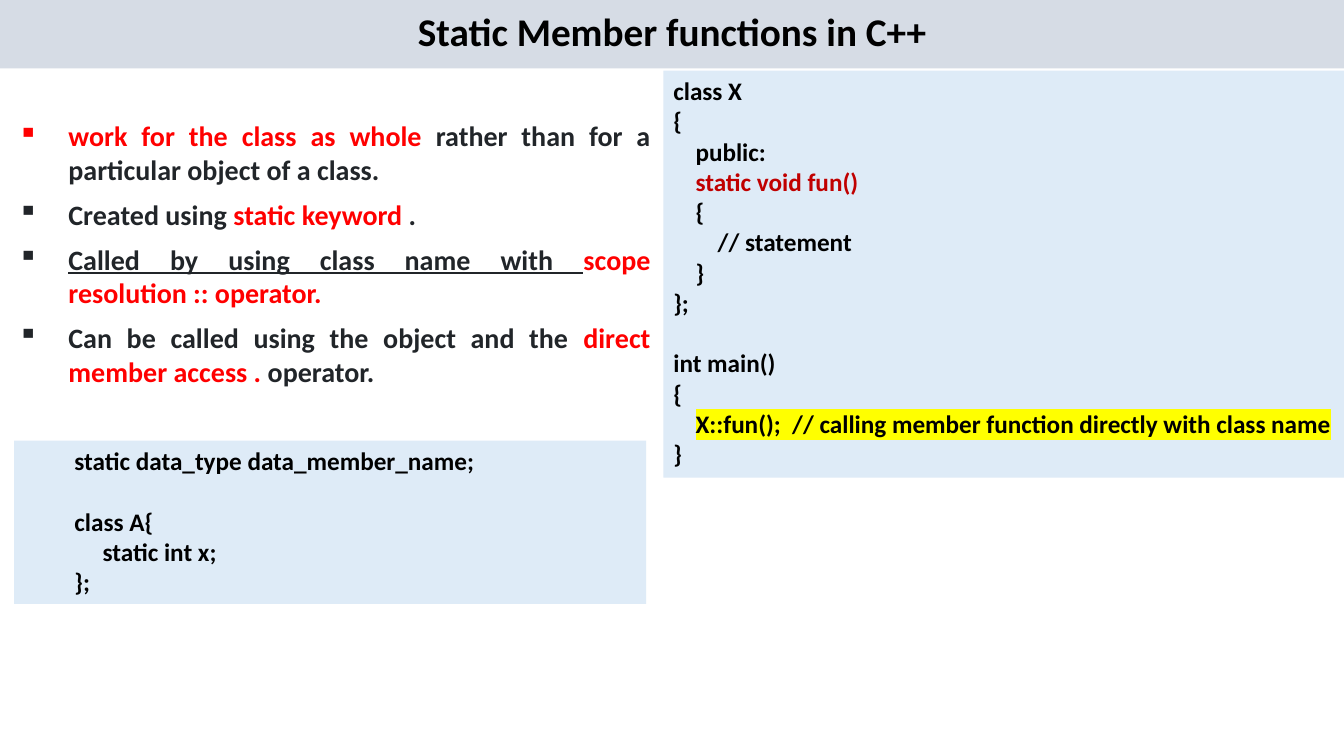
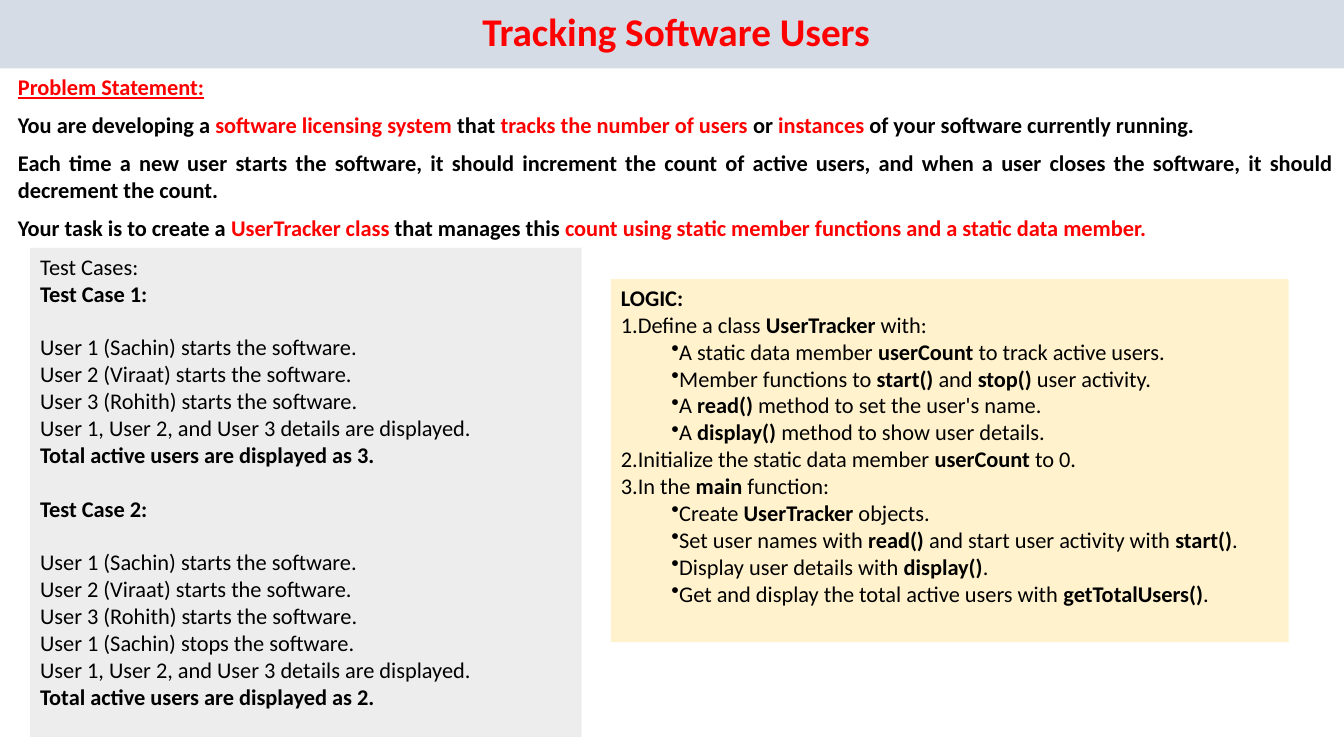
from dataclasses import dataclass, replace
from typing import Optional

from lxml import etree
from pptx import Presentation
from pptx.dml.color import RGBColor
from pptx.enum import shapes, text
from pptx.oxml import ns
from pptx.util import Inches, Pt


@dataclass(frozen=True)
class Look:
    """How a span of text appears."""
    size: int
    color: str = "000000"
    bold: bool = False
    underline: bool = False
    highlight: Optional[str] = None


@dataclass(frozen=True)
class Line:
    """A paragraph; parts between asterisks take the strong look."""
    words: str
    indent: float = 0
    hanging: float = 0
    gap: bool = False  # leave one empty line above
    bullet: Optional[str] = None
    number: Optional[int] = None
    plain: Optional[Look] = None
    strong: Optional[Look] = None


class Theme:
    font = "Calibri"
    band, code_fill, case_fill, logic_fill = "D6DCE5", "DEEBF7", "EDEDED", "FFF2CC"
    red = "FF0000"
    line_height = 1.2
    title = Look(28, bold=True)
    point = Look(20, "212529", bold=True)
    code = Look(18, bold=True)
    code_key = replace(code, color="C00000")
    code_call = replace(code, highlight="FFFF00")
    body = Look(16)
    strong_body = replace(body, bold=True)


def in_red(look, **changes):
    return replace(look, color=Theme.red, **changes)


class SlideBuilder:
    def __init__(self):
        self.deck = Presentation()
        self.deck.slide_width = Inches(13.33)
        self.deck.slide_height = Inches(7.5)
        self.page = None

    def start_page(self, title, look=Theme.title, indent=0):
        self.page = self.deck.slides.add_slide(self.deck.slide_layouts[6])
        box = self.panel((0, 0, 13.33, 0.68), Theme.band, [Line(title, indent)], look,
                         align=text.PP_ALIGN.CENTER)
        box.text_frame.vertical_anchor = text.MSO_ANCHOR.MIDDLE
        box.text_frame.paragraphs[0].line_spacing = 0.9

    def panel(self, at, fill, lines, plain, strong=None, align=text.PP_ALIGN.LEFT):
        box = self.page.shapes.add_shape(shapes.MSO_SHAPE.RECTANGLE, *map(Inches, at))
        box.shadow.inherit = False
        box.fill.solid()
        box.fill.fore_color.rgb = RGBColor.from_string(fill)
        box.line.fill.background()
        self.set_lines(box, lines, plain, strong, align)
        return box

    def prose(self, at, lines, plain, strong):
        box = self.page.shapes.add_textbox(*map(Inches, at))
        self.set_lines(box, lines, plain, strong, text.PP_ALIGN.JUSTIFY, after=8)

    def set_lines(self, box, lines, plain, strong, align, after=0):
        frame = box.text_frame
        frame.word_wrap = True
        frame.vertical_anchor = text.MSO_ANCHOR.TOP
        for index, line in enumerate(lines):
            para = frame.add_paragraph() if index else frame.paragraphs[0]
            para.alignment = align
            para.space_after = Pt(after)
            if line.gap:
                para.space_before = Pt(plain.size * Theme.line_height)
            self.indent(para, line)
            looks = (line.plain or plain, line.strong or strong)
            for order, part in enumerate(line.words.split("*")):
                if part:
                    self.span(para, part, looks[order % 2])

    def indent(self, para, line):
        props = para._p.get_or_add_pPr()
        props.set("marL", str(Inches(line.indent)))
        props.set("indent", str(Inches(-line.hanging)))
        if line.bullet:
            mark = etree.SubElement(props, ns.qn("a:buChar"))
            mark.set("char", line.bullet)
        elif line.number:
            mark = etree.SubElement(props, ns.qn("a:buAutoNum"))
            mark.set("type", "arabicPeriod")
            mark.set("startAt", str(line.number))

    def span(self, para, words, look):
        span = para.add_run()
        span.text = words
        font = span.font
        font.name = Theme.font
        font.size = Pt(look.size)
        font.bold = look.bold
        font.underline = look.underline
        font.color.rgb = RGBColor.from_string(look.color)
        if look.highlight:
            marker = etree.Element(ns.qn("a:highlight"))
            etree.SubElement(marker, ns.qn("a:srgbClr")).set("val", look.highlight)
            span._r.rPr.find(ns.qn("a:solidFill")).addnext(marker)


def point(words, **options):
    return Line(words, indent=0.58, hanging=0.5, bullet="▪", **options)


def step(words):
    return Line(words, indent=0.5, bullet="•")


def member_functions(builder):
    builder.start_page("Static Member functions in C++")

    # Key points
    points = [
        point("*work for the class as whole *rather than for a particular object of a class."),
        point("Created using *static keyword *."),
        point("Called by using class name with *scope resolution :: operator.",
              plain=replace(Theme.point, underline=True)),
        point("Can be called using the object and the *direct member access .* operator."),
    ]
    builder.prose((0, 1.13, 6.55, 3.24), points, Theme.point, in_red(Theme.point))

    # Class and call example
    tab = 0.22
    example = [
        Line("class X"),
        Line("{"),
        Line("public:", tab),
        Line("*static void fun()", tab),
        Line("{", tab),
        Line("// statement", 2 * tab),
        Line("}", tab),
        Line("};"),
        Line("int main()", gap=True),
        Line("{"),
        Line("*X::fun();  // calling member function directly with class name", tab,
             strong=Theme.code_call),
        Line("}"),
    ]
    builder.panel((6.58, 0.7, 6.75, 4.04), Theme.code_fill, example,
                  Theme.code, Theme.code_key)

    # Data member syntax
    syntax = [
        Line("static data_type data_member_name;", 0.5),
        Line("class A{", 0.5, gap=True),
        Line("static int x;", 0.78),
        Line("};", 0.5),
    ]
    builder.panel((0.14, 4.37, 6.27, 1.62), Theme.code_fill, syntax, Theme.code)


def test_case(number, stops, total):
    starts = [f"User {place} ({name}) starts the software."
              for place, name in enumerate(("Sachin", "Viraat", "Rohith"), 1)]
    return [
        Line(f"*Test Case {number}:", gap=number > 1),
        Line(starts[0], gap=True),
        *map(Line, starts[1:] + stops),
        Line("User 1, User 2, and User 3 details are displayed."),
        Line(f"*Total active users are displayed as {total}."),
    ]


def tracking_users(builder):
    builder.start_page("Tracking Software Users", in_red(Theme.title), indent=0.08)

    # Problem statement
    problem = [
        Line("Problem Statement:", 0.08, plain=in_red(Theme.strong_body, underline=True)),
        Line("You are developing a *software licensing system *that *tracks the number of "
             "users *or *instances *of your software currently running.", 0.08),
        Line("Each time a new user starts the software, it should increment the count of "
             "active users, and when a user closes the software, it should decrement "
             "the count.", 0.08),
        Line("Your task is to create a *UserTracker class *that manages this *count using "
             "static member functions and a static data member.", 0.08),
    ]
    builder.prose((0, 0.68, 13.33, 1.78), problem, Theme.strong_body,
                  in_red(Theme.strong_body))

    # Test cases
    cases = [
        Line("Test Cases:"),
        *test_case(1, [], 3),
        *test_case(2, ["User 1 (Sachin) stops the software."], 2),
    ]
    builder.panel((0.3, 2.46, 5.47, 4.85), Theme.case_fill, cases,
                  Theme.body, Theme.strong_body)

    # Logic
    logic = [
        Line("*LOGIC:"),
        Line("Define a class *UserTracker* with:", number=1),
        step("A static data member *userCount* to track active users."),
        step("Member functions to *start()* and *stop()* user activity."),
        step("A *read()* method to set the user's name."),
        step("A *display()* method to show user details."),
        Line("Initialize the static data member *userCount* to 0.", number=2),
        Line("In the *main* function:", number=3),
        step("Create *UserTracker* objects."),
        step("Set user names with *read()* and start user activity with *start()*."),
        step("Display user details with *display()*."),
        step("Get and display the total active users with *getTotalUsers()*."),
    ]
    builder.panel((6.06, 2.77, 6.72, 3.6), Theme.logic_fill, logic,
                  Theme.body, Theme.strong_body)


def main():
    builder = SlideBuilder()
    member_functions(builder)
    tracking_users(builder)
    builder.deck.save("out.pptx")


if __name__ == "__main__":
    main()
